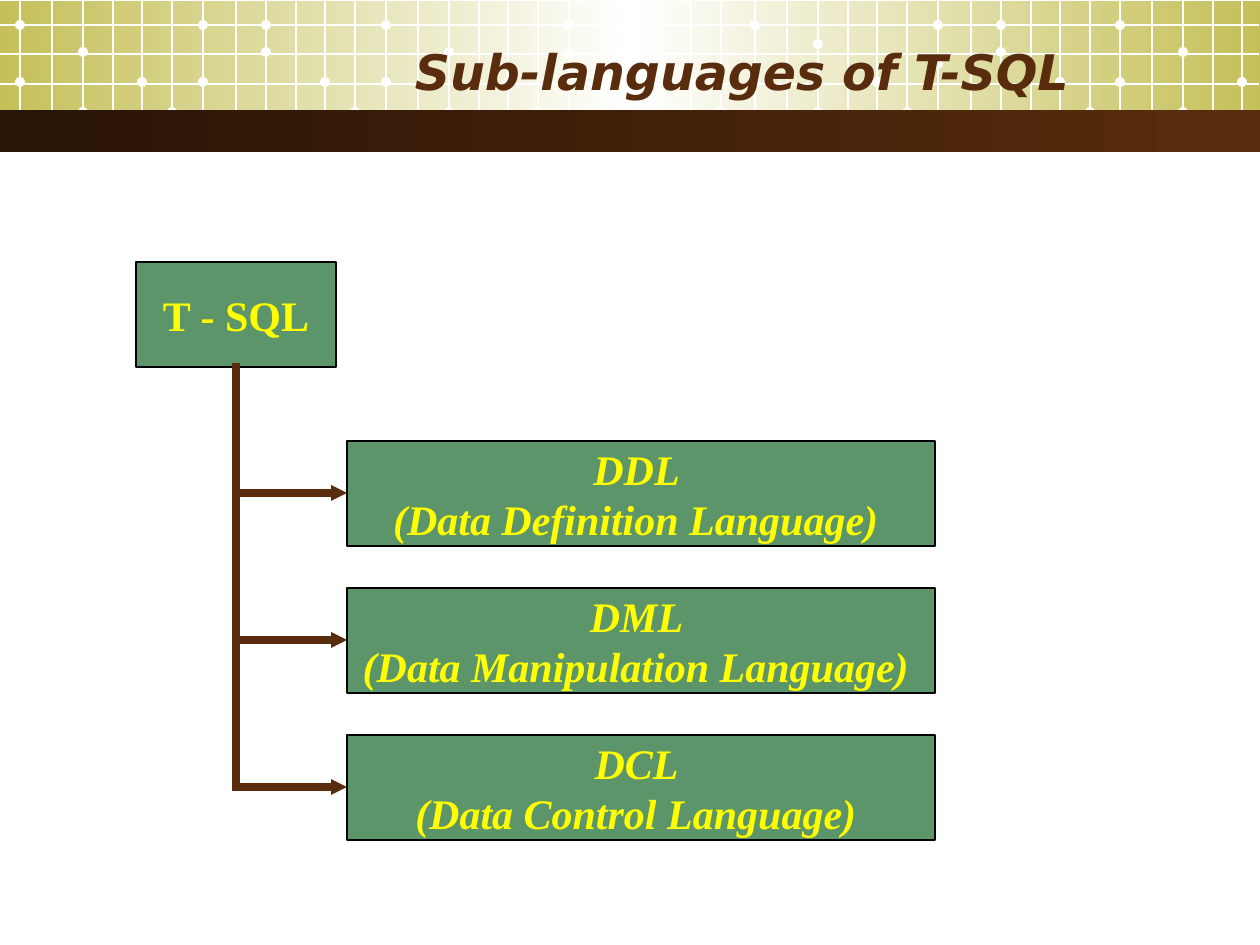
"""Builds a slide showing the three sub-languages of T-SQL as a tree."""
from copy import deepcopy

from lxml import etree
from pptx import Presentation
from pptx import util as u
from pptx.dml.color import RGBColor
from pptx.enum import shapes, text
from pptx.oxml.ns import qn

PX = u.Inches(10) // 1260
WHITE = RGBColor(0xFF, 0xFF, 0xFF)
BLACK = RGBColor(0x00, 0x00, 0x00)
OLIVE = RGBColor(0xC5, 0xC0, 0x59)
DARK = RGBColor(0x29, 0x14, 0x06)
BROWN = RGBColor(0x59, 0x2C, 0x0D)
GREEN = RGBColor(0x5B, 0x95, 0x69)
YELLOW = RGBColor(0xFF, 0xFF, 0x00)

prs = Presentation()
prs.slide_width, prs.slide_height = u.Inches(10), u.Inches(7.5)
s = prs.slides.add_slide(prs.slide_layouts[6])


def add_block(kind, x, y, w, h, color):
    sp = s.shapes.add_shape(kind, x * PX, y * PX, w * PX, h * PX)
    sp.shadow.inherit = False
    sp.fill.solid()
    sp.fill.fore_color.rgb = color
    sp.line.fill.background()
    return sp


def add_band(y, h, colors):
    sp = add_block(shapes.MSO_SHAPE.RECTANGLE, 0, y, 1260, h, colors[0])
    sp.fill.gradient()
    sp.fill.gradient_angle = 0
    stops = sp._element.spPr.find(".//" + qn("a:gsLst"))
    for _ in colors[2:]:
        stops.append(deepcopy(stops[0]))
    for i, (stop, color) in enumerate(zip(sp.fill.gradient_stops, colors)):
        stop.color.rgb = color
        stop.color.brightness = 0
        stop.position = i / (len(colors) - 1)


add_band(1, 129, [OLIVE, WHITE, OLIVE])

group_starts = [20, 386, 755, 1120]
column_offsets = [0, 32, 63, 93, 122, 152, 183, 216, 246, 276, 305, 335]
dot_rows = {0: (82, 25), 2: (52, 112), 4: (82,), 5: (112,), 6: (82, 25),
            8: (52, 25), 10: (82,), 11: (112,)}
dot_exceptions = {(1, 6): (54, 25), (2, 2): (44, 112), (2, 6): (64, 25)}
grid_lines = [(-1, y, 1259, y) for y in (25, 54, 84)]
for group, start in enumerate(group_starts):
    for column, offset in enumerate(column_offsets):
        x = start + offset
        if x > 1260:
            break
        grid_lines.append((x, 0, x, 139))
        for y in dot_exceptions.get((group, column), dot_rows.get(column, ())):
            add_block(shapes.MSO_SHAPE.OVAL, x - 5, y - 5, 10, 10, WHITE)

for ends in grid_lines:
    c = s.shapes.add_connector(shapes.MSO_CONNECTOR.STRAIGHT, *[v * PX for v in ends])
    c.line.color.rgb = WHITE
    c.line.width = u.Pt(0.75)

add_band(110, 42, [DARK, BROWN])

title = s.shapes.add_textbox(63 * PX, 31 * PX, 1018 * PX, 79 * PX)
tf = title.text_frame
tf.word_wrap = True
tf.vertical_anchor = text.MSO_ANCHOR.MIDDLE
p = tf.paragraphs[0]
p.text = "Sub-languages of T-SQL"
p.alignment = text.PP_ALIGN.RIGHT
f = p.runs[0].font
f.name, f.size, f.bold, f.italic = "DejaVu Sans", u.Pt(28), True, True
f.color.rgb = BROWN

branch_x, branch_top, branch_step, box_h = 347, 441, 147, 105
languages = ["DDL \n(Data Definition Language) ",
             "DML \n(Data Manipulation Language) ",
             "DCL \n(Data Control Language) "]
boxes = [(136, 262, 200, "T - SQL", None)]
for i, label in enumerate(languages):
    boxes.append((branch_x, branch_top + i * branch_step, 588, label, True))
for x, y, w, label, italic in boxes:
    sp = add_block(shapes.MSO_SHAPE.RECTANGLE, x, y, w, box_h, GREEN)
    sp.line.color.rgb = BLACK
    sp.line.width = u.Pt(0.75)
    tf = sp.text_frame
    tf.word_wrap = False
    tf.vertical_anchor = text.MSO_ANCHOR.MIDDLE
    tf.text = label
    for p in tf.paragraphs:
        p.alignment = text.PP_ALIGN.CENTER
        f = p.runs[0].font
        f.name, f.size, f.bold, f.italic = "Times New Roman", u.Pt(24), True, italic
        f.color.rgb = YELLOW

trunk_x, trunk_top = 236, 367
for i in range(len(languages)):
    dx = (branch_x - trunk_x) * PX
    dy = (branch_top + i * branch_step + box_h // 2 - trunk_top) * PX
    left = trunk_x * PX + (dx - dy) // 2
    top = trunk_top * PX + (dy - dx) // 2
    c = s.shapes.add_connector(shapes.MSO_CONNECTOR.ELBOW, left + dy, top, left, top + dx)
    spPr = c._element.spPr
    spPr.find(qn("a:xfrm")).set("rot", "16200000")
    spPr.find(qn("a:prstGeom")).set("prst", "bentConnector2")
    c.line.color.rgb = BROWN
    c.line.width = u.Pt(4.5)
    ln = spPr.find(qn("a:ln"))
    ln.set("cap", "sq")
    etree.SubElement(ln, qn("a:miter"), lim="800000")
    etree.SubElement(ln, qn("a:tailEnd"), type="triangle", w="sm", len="sm")

for c in s.shapes:
    if c.shape_type == shapes.MSO_SHAPE_TYPE.LINE:
        etree.SubElement(c._element.spPr, qn("a:effectLst"))

prs.save("out.pptx")
